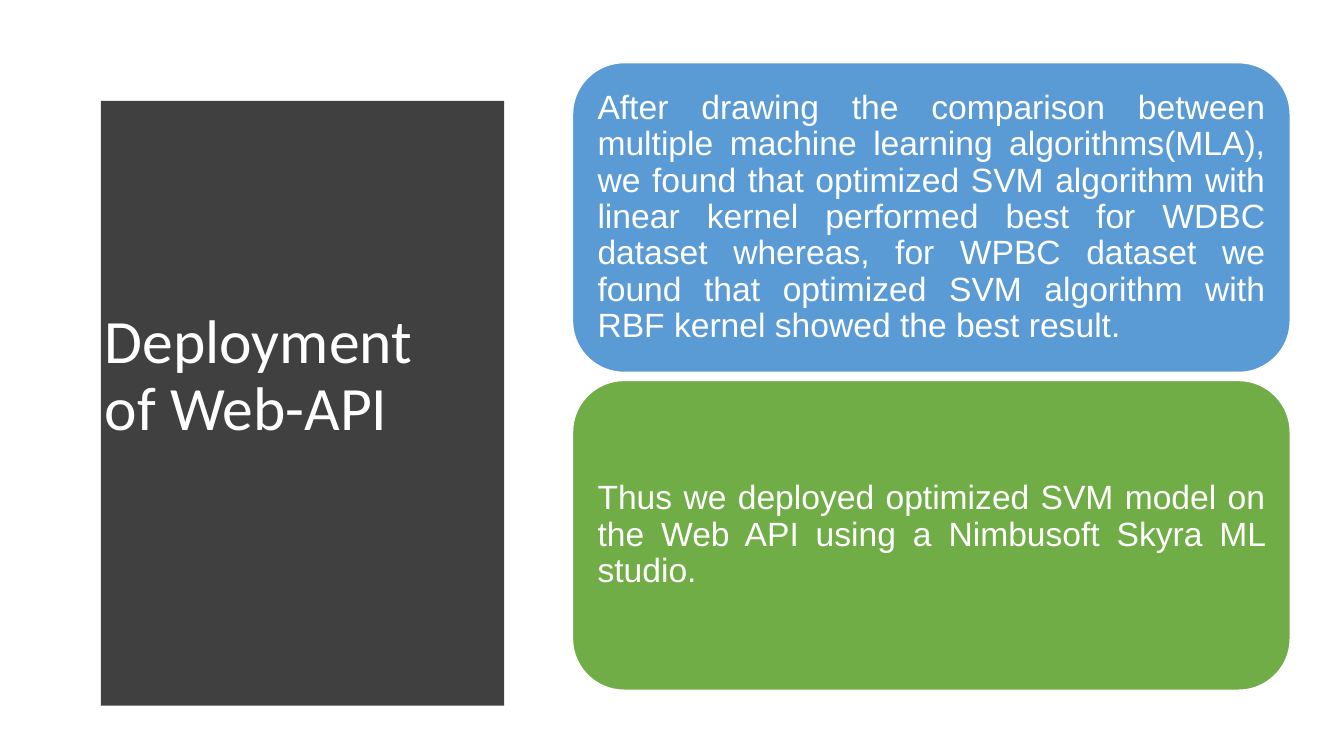
from dataclasses import dataclass

from pptx import Presentation
from pptx import util as u
from pptx.dml.color import RGBColor
from pptx.enum import shapes, text


@dataclass(frozen=True)
class Theme:
    """Colours, fonts and type sizes of the slide."""
    panel: str = "404040"
    light: str = "FFFFFF"
    comparison: str = "5B9BD5"
    deployment: str = "70AD47"
    title_font: str = "Calibri"
    body_font: str = "Arial"
    title_size: int = 44
    body_size: int = 24


THEME = Theme()
WIDTH, HEIGHT = 13.33, 7.5
FINDINGS = (
    (THEME.comparison,
     "After drawing the comparison between multiple machine learning "
     "algorithms(MLA), we found that optimized SVM algorithm with linear "
     "kernel performed best for WDBC dataset whereas, for WPBC dataset we "
     "found that optimized SVM algorithm with RBF kernel showed the best "
     "result. "),
    (THEME.deployment,
     "Thus we deployed optimized SVM model on the Web API using a "
     "Nimbusoft Skyra ML studio. "),
)


def paint(shape, colour):
    """Give a shape a plain fill without shadow."""
    shape.shadow.inherit = False
    shape.fill.solid()
    shape.fill.fore_color.rgb = RGBColor.from_string(colour)


def write(frame, words, font, size, align):
    """Write one light paragraph, centred vertically in its frame."""
    frame.word_wrap = True
    frame.auto_size = text.MSO_AUTO_SIZE.NONE
    frame.vertical_anchor = text.MSO_ANCHOR.MIDDLE
    paragraph = frame.paragraphs[0]
    paragraph.alignment = align
    paragraph.line_spacing = 0.9
    run = paragraph.add_run()
    run.text = words
    run.font.name = font
    run.font.size = u.Pt(size)
    run.font.color.rgb = RGBColor.from_string(THEME.light)


def title_panel(slide, words, left, top, width, height):
    """Place the title on a dark panel whose right side bulges in a parabola."""
    bulge, steps = 0.05 * width, 48
    edge = []
    for step in range(steps + 1):
        offset = 2 * step / steps - 1
        edge.append((left + width - bulge * offset ** 2,
                     top + height * step / steps))
    outline = slide.shapes.build_freeform(left, top, scale=u.Inches(1))
    outline.add_line_segments(edge + [(left, top + height)], close=True)
    panel = outline.convert_to_shape()
    paint(panel, THEME.panel)
    panel.line.fill.background()

    title = slide.shapes.title
    title._element.addprevious(panel._element)
    title.left = u.Inches(left + 0.085 * width)
    title.top = u.Inches(top + 0.093 * height)
    title.width = u.Inches(0.78 * width)
    title.height = u.Inches(0.814 * height)
    write(title.text_frame, words, THEME.title_font, THEME.title_size,
          text.PP_ALIGN.LEFT)


def finding_cards(slide, findings, left, top, width, height):
    """Stack equal rounded cards with a narrow gap in the given box."""
    gap = 0.08
    card_height = (height - gap * (len(findings) - 1)) / len(findings)
    for row, (colour, words) in enumerate(findings):
        card = slide.shapes.add_shape(
            shapes.MSO_SHAPE.ROUNDED_RECTANGLE,
            u.Inches(left), u.Inches(top + row * (card_height + gap)),
            u.Inches(width), u.Inches(card_height))
        paint(card, colour)
        card.line.color.rgb = RGBColor.from_string(THEME.light)
        card.line.width = u.Pt(1)
        frame = card.text_frame
        frame.margin_left = frame.margin_right = u.Inches(0.1)
        frame.margin_top = frame.margin_bottom = u.Inches(0.1)
        write(frame, words, THEME.body_font, THEME.body_size,
              text.PP_ALIGN.JUSTIFY)


def main():
    """Build and save the deployment slide."""
    deck = Presentation()
    deck.slide_width, deck.slide_height = u.Inches(WIDTH), u.Inches(HEIGHT)
    slide = deck.slides.add_slide(deck.slide_layouts[5])
    title_panel(slide, "Deployment of Web-API",
                0.04 * WIDTH, 0.069 * HEIGHT, 0.359 * WIDTH, 0.86 * HEIGHT)
    finding_cards(slide, FINDINGS,
                  0.426 * WIDTH, 0.083 * HEIGHT, 0.534 * WIDTH, 0.83 * HEIGHT)
    deck.save("out.pptx")


if __name__ == "__main__":
    main()
